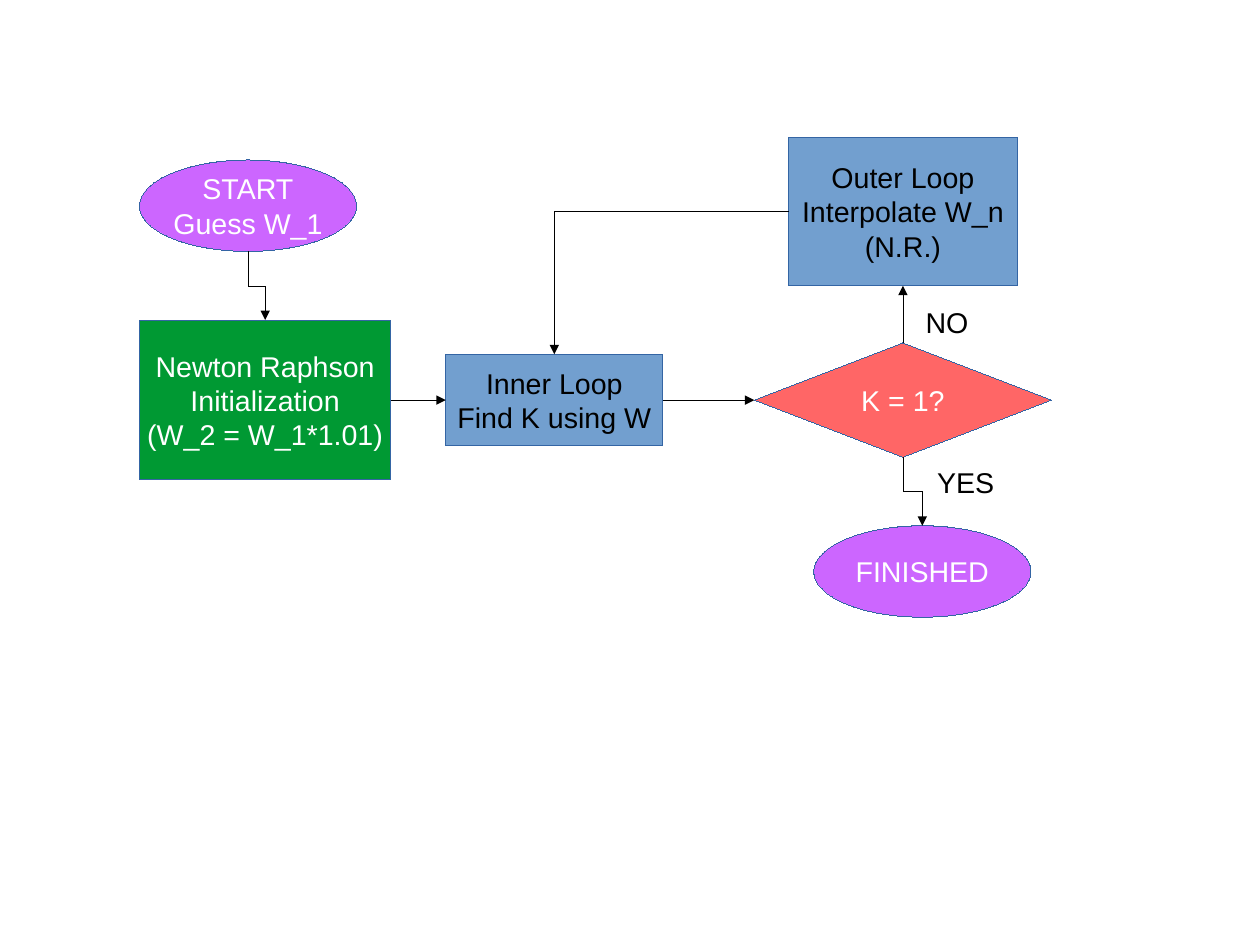
from dataclasses import dataclass

from pptx import Presentation
from pptx.dml.color import RGBColor as RGB
from pptx.enum.shapes import MSO_CONNECTOR as Link, MSO_SHAPE as Preset
from pptx.enum.text import MSO_ANCHOR as Anchor, PP_ALIGN as Align
from pptx.oxml.ns import qn
from pptx.oxml.xmlchemy import OxmlElement
from pptx.util import Pt

TOP, LEFT, BOTTOM, RIGHT = range(4)


@dataclass(frozen=True)
class Theme:
    font: str = "Arial"
    size: float = 18
    hairline: float = 0
    dark: RGB = RGB(0x00, 0x00, 0x00)
    light: RGB = RGB(0xFF, 0xFF, 0xFF)
    outline: RGB = RGB(0x34, 0x65, 0xA4)
    terminal: RGB = RGB(0xCC, 0x66, 0xFF)
    setup: RGB = RGB(0x00, 0x99, 0x33)
    loop: RGB = RGB(0x72, 0x9F, 0xCF)
    decision: RGB = RGB(0xFF, 0x66, 0x66)


def write(frame, text, *, theme, color, align=Align.LEFT, anchor=Anchor.TOP, wrap=True):
    """Fill a text frame, one paragraph per line of text."""
    frame.word_wrap = wrap
    frame.vertical_anchor = anchor
    for index, line in enumerate(text.split("\n")):
        paragraph = frame.add_paragraph() if index else frame.paragraphs[0]
        paragraph.alignment = align
        run = paragraph.add_run()
        run.text = line
        run.font.name = theme.font
        run.font.size = Pt(theme.size)
        run.font.color.rgb = color


class Flowchart:
    def __init__(self, slide, theme):
        self.shapes = slide.shapes
        self.theme = theme

    def _stroke(self, part, color):
        """Color the outline and return its XML, with the width always stated."""
        part.line.color.rgb = color
        stroke = part.line._get_or_add_ln()
        # The width property drops a zero, which would restore the style's width
        stroke.set("w", str(Pt(self.theme.hairline)))
        return stroke

    def step(self, preset, text, box, fill, color):
        node = self.shapes.add_shape(preset, *map(Pt, box))
        node.shadow.inherit = False
        node.fill.solid()
        node.fill.fore_color.rgb = fill
        self._stroke(node, self.theme.outline)
        write(node.text_frame, text, theme=self.theme, color=color,
              align=Align.CENTER, anchor=Anchor.MIDDLE, wrap=False)
        return node

    def label(self, text, left, top):
        answer = self.shapes.add_textbox(Pt(left), Pt(top), Pt(64.8), Pt(27.36))
        write(answer.text_frame, text, theme=self.theme, color=self.theme.dark)

    def _arrow(self, kind, start, end):
        arrow = self.shapes.add_connector(kind, *start, *end)
        head = OxmlElement("a:tailEnd")
        head.set("type", "triangle")
        self._stroke(arrow, self.theme.dark).append(head)
        arrow._element.spPr.append(OxmlElement("a:effectLst"))
        return arrow

    def straight(self, source, source_side, target, target_side):
        arrow = self._arrow(Link.STRAIGHT, (0, 0), (0, 0))
        arrow.begin_connect(source, source_side)
        arrow.end_connect(target, target_side)

    def drop(self, source, target):
        """Bent arrow from the bottom of source down to the top of target."""
        start = source.left + source.width // 2, source.top + source.height
        end = target.left + target.width // 2, target.top
        arrow = self._arrow(Link.ELBOW, start, end)
        across, down = end[0] - start[0], end[1] - start[1]
        # A quarter turn about the centre makes the bend start vertically
        arrow.left = start[0] + (across - down) // 2
        arrow.top = start[1] + (down - across) // 2
        arrow.width, arrow.height = down, across
        frame = arrow._element.spPr.find(qn("a:xfrm"))
        frame.set("rot", str(270 * 60000))
        frame.set("flipH", "1")

    def corner(self, source, target):
        """One-bend arrow from the left of source to the top of target."""
        start = source.left, source.top + source.height // 2
        end = target.left + target.width // 2, target.top
        arrow = self._arrow(Link.ELBOW, start, end)
        arrow._element.spPr.find(qn("a:prstGeom")).set("prst", "bentConnector2")


def main():
    deck = Presentation()
    deck.slide_width, deck.slide_height = Pt(793.7), Pt(595.25)
    theme = Theme()
    chart = Flowchart(deck.slides.add_slide(deck.slide_layouts[6]), theme)

    # Steps
    initialization = chart.step(
        Preset.RECTANGLE, "Newton Raphson\nInitialization\n(W_2 = W_1*1.01)",
        (87.84, 201.6, 158.4, 100.8), theme.setup, theme.light)
    inner_loop = chart.step(
        Preset.RECTANGLE, "Inner Loop\nFind K using W",
        (280.8, 223.2, 136.8, 57.6), theme.loop, theme.dark)
    outer_loop = chart.step(
        Preset.RECTANGLE, "Outer Loop\nInterpolate W_n\n(N.R.)",
        (496.8, 86.4, 144, 93.6), theme.loop, theme.dark)
    convergence = chart.step(
        Preset.DIAMOND, "K = 1?",
        (475.2, 216, 187.2, 72), theme.decision, theme.light)
    finished = chart.step(
        Preset.OVAL, "FINISHED",
        (512.64, 331.2, 136.8, 57.6), theme.terminal, theme.light)
    start = chart.step(
        Preset.OVAL, "START\nGuess W_1",
        (87.84, 100.8, 136.8, 57.6), theme.terminal, theme.light)

    # Flow between steps
    chart.drop(start, initialization)
    chart.straight(initialization, RIGHT, inner_loop, LEFT)
    chart.straight(inner_loop, RIGHT, convergence, LEFT)
    chart.straight(convergence, TOP, outer_loop, BOTTOM)
    chart.corner(outer_loop, inner_loop)
    chart.drop(convergence, finished)

    # Answers at the decision
    chart.label("NO", 576, 188.64)
    chart.label("YES", 583.2, 289.44)

    deck.save("out.pptx")


if __name__ == "__main__":
    main()
